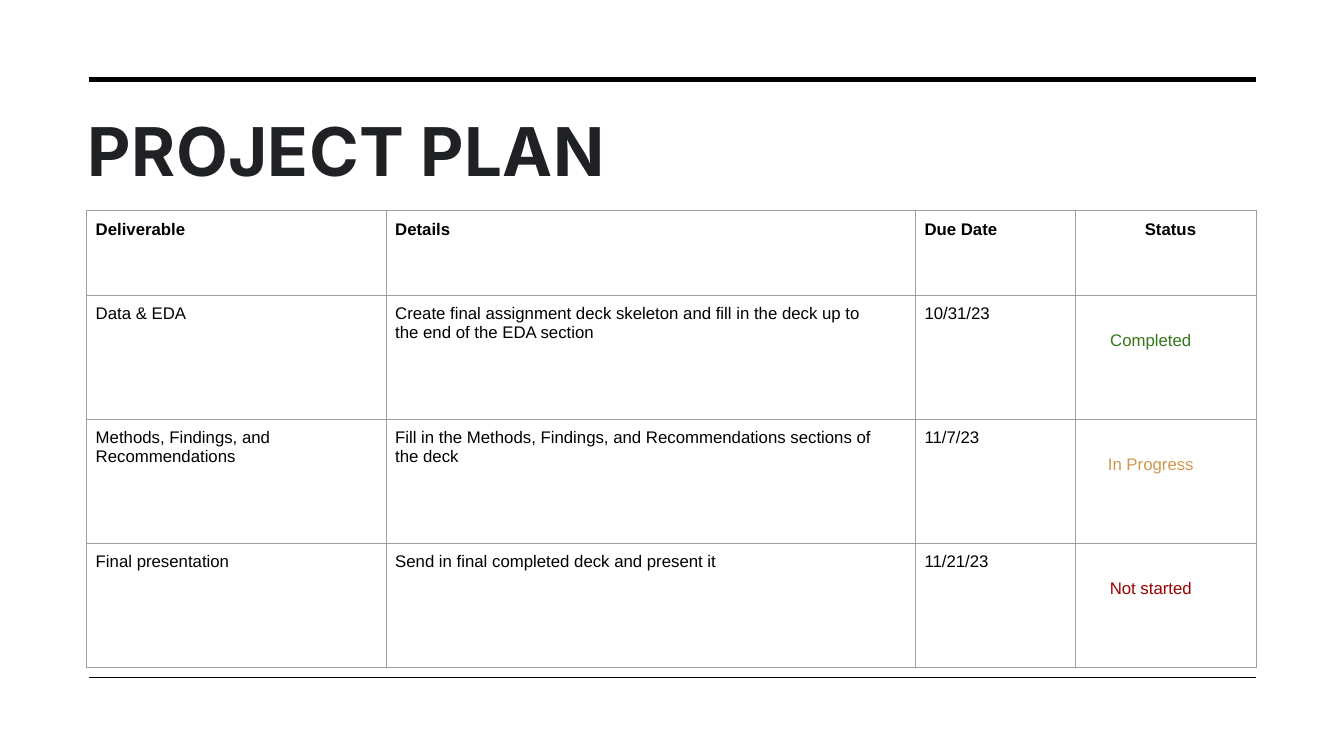
import pptx
import pptx.dml.color
import pptx.enum.shapes
import pptx.enum.text
import pptx.oxml
import pptx.oxml.ns
import pptx.util
from dataclasses import dataclass

Inches = pptx.util.Inches
Align = pptx.enum.text.PP_ALIGN
Anchor = pptx.enum.text.MSO_ANCHOR

TITLE = "PROJECT PLAN"
HEADERS = ["Deliverable", "Details", "Due Date", "Status"]
TASKS = [
    ("Data & EDA",
     "Create final assignment deck skeleton and fill in the deck up to the end of the EDA section",
     "10/31/23", "Completed"),
    ("Methods, Findings, and Recommendations",
     "Fill in the Methods, Findings, and Recommendations sections of the deck",
     "11/7/23", "In Progress"),
    ("Final presentation", "Send in final completed deck and present it",
     "11/21/23", "Not started"),
]
COLUMN_WIDTHS = [2.97, 5.25, 1.59, 1.79]
ROW_HEIGHTS = [0.84] + [1.23] * len(TASKS)
RULES = [(0.79, 3.5), (6.72, 1)]
RULE_LEFT, RULE_RIGHT = 0.88, 12.46
TABLE_LEFT, TABLE_TOP = 0.86, 2.09


@dataclass(frozen=True)
class Theme:
    title_font: str = "Inter"
    body_font: str = "Arial"
    title_size: float = 48
    body_size: float = 12
    ink: str = "000000"
    title_ink: str = "202124"
    grid: str = "9E9E9E"
    grid_width: float = 0.75


THEME = Theme()
STATUS_COLORS = {"Completed": "37761C", "In Progress": "D19651", "Not started": "990000"}
HEADER_MARGINS = {"margin_left": 0.09, "margin_top": 0.09, "margin_right": 0, "margin_bottom": 0}
TEXT_MARGINS = {**HEADER_MARGINS, "margin_right": 0.35}
STATUS_MARGINS = {**HEADER_MARGINS, "margin_top": 0.36, "margin_right": 0.39}


def set_all(target, values):
    for name, value in values.items():
        setattr(target, name, value)


def write(para, text, font, size, color, bold=False):
    span = para.add_run()
    span.text = text
    set_all(span.font, {"name": font, "size": pptx.util.Pt(size), "bold": bold})
    span.font.color.rgb = pptx.dml.color.RGBColor.from_string(color)
    return span


def add_rule(page, top, width):
    rule = page.shapes.add_connector(
        pptx.enum.shapes.MSO_CONNECTOR.STRAIGHT,
        Inches(RULE_LEFT), Inches(top), Inches(RULE_RIGHT), Inches(top))
    rule.line.width = pptx.util.Pt(width)
    rule.line.color.rgb = pptx.dml.color.RGBColor.from_string(THEME.ink)
    rule.element.spPr.append(pptx.oxml.parse_xml(
        f'<a:effectLst {pptx.oxml.ns.nsdecls("a")}/>'))


def add_title(page):
    box = page.shapes.title
    set_all(box, {"left": Inches(0.77), "top": Inches(1.01),
                  "width": Inches(11.69), "height": Inches(0.95)})
    set_all(box.text_frame, {"word_wrap": True, "vertical_anchor": Anchor.MIDDLE,
                             "auto_size": pptx.enum.text.MSO_AUTO_SIZE.NONE})
    para = box.text_frame.paragraphs[0]
    para.alignment = Align.LEFT
    span = write(para, TITLE, THEME.title_font, THEME.title_size, THEME.title_ink, True)
    span.font._element.set("spc", "30")


def add_borders(cell):
    properties = cell._tc.get_or_add_tcPr()
    width = pptx.util.Pt(THEME.grid_width)
    for position, side in enumerate(("lnL", "lnR", "lnT", "lnB")):
        properties.insert(position, pptx.oxml.parse_xml(
            f'<a:{side} {pptx.oxml.ns.nsdecls("a")} w="{width}"><a:solidFill>'
            f'<a:srgbClr val="{THEME.grid}"/></a:solidFill></a:{side}>'))


def fill_cell(cell, text, is_header, is_status):
    if is_header:
        margins = HEADER_MARGINS
    else:
        margins = STATUS_MARGINS if is_status else TEXT_MARGINS
    set_all(cell, {name: Inches(value) for name, value in margins.items()})
    cell.vertical_anchor = Anchor.TOP
    cell.fill.background()
    para = cell.text_frame.paragraphs[0]
    para.alignment = Align.CENTER if is_status else Align.LEFT
    write(para, text, THEME.body_font, THEME.body_size,
          STATUS_COLORS.get(text, THEME.ink), is_header)
    add_borders(cell)


def add_plan(page):
    rows = [HEADERS, *TASKS]
    plan = page.shapes.add_table(
        len(rows), len(HEADERS), Inches(TABLE_LEFT), Inches(TABLE_TOP),
        Inches(sum(COLUMN_WIDTHS)), Inches(sum(ROW_HEIGHTS))).table
    set_all(plan, {"first_row": False, "horz_banding": False})
    for column, width in zip(plan.columns, COLUMN_WIDTHS):
        column.width = Inches(width)
    for row, height in zip(plan.rows, ROW_HEIGHTS):
        row.height = Inches(height)
    for row_number, texts in enumerate(rows):
        for column_number, text in enumerate(texts):
            fill_cell(plan.cell(row_number, column_number), text,
                      row_number == 0, column_number == len(HEADERS) - 1)


def main():
    deck = pptx.Presentation()
    set_all(deck, {"slide_width": Inches(13.33), "slide_height": Inches(7.5)})
    page = deck.slides.add_slide(deck.slide_layouts.get_by_name("Title Only"))
    for top, width in RULES:
        add_rule(page, top, width)
    add_title(page)
    add_plan(page)
    deck.save("out.pptx")


if __name__ == "__main__":
    main()
